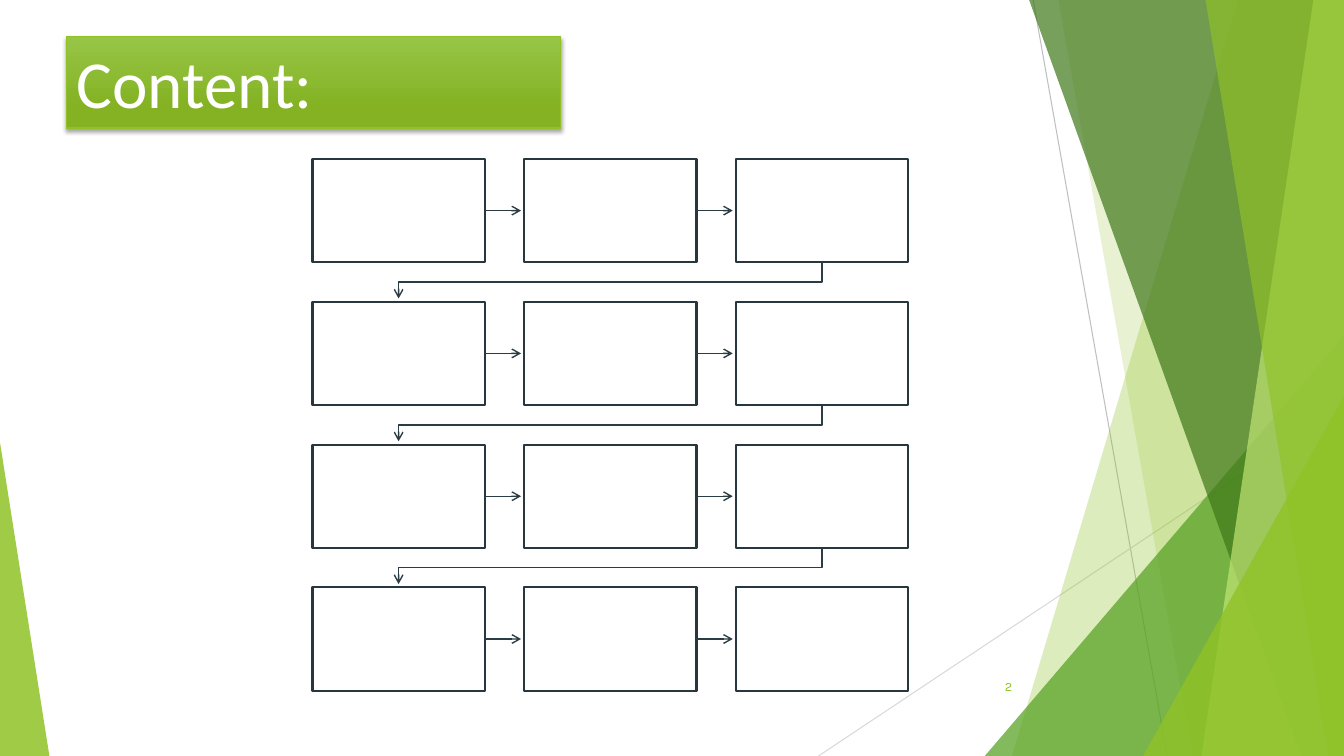
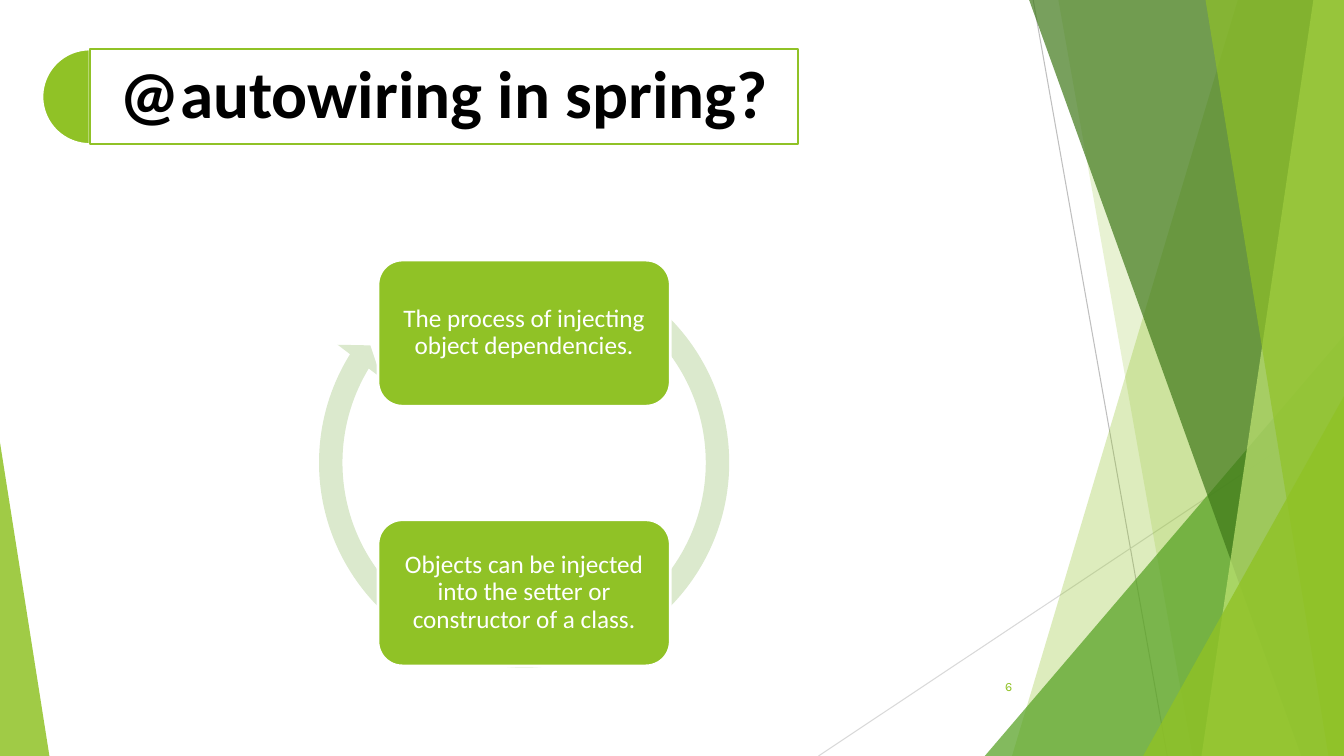
from dataclasses import dataclass
from lxml import etree
from pptx import Presentation
from pptx.dml.color import RGBColor
from pptx.enum.shapes import MSO_CONNECTOR, MSO_SHAPE
from pptx.enum.text import MSO_ANCHOR, MSO_AUTO_SIZE, PP_ALIGN
from pptx.oxml.ns import qn
from pptx.util import Pt

STRAIGHT = MSO_CONNECTOR.STRAIGHT
RECT, ROUNDED = MSO_SHAPE.RECTANGLE, MSO_SHAPE.ROUNDED_RECTANGLE
TRIANGLE, PIE = MSO_SHAPE.ISOSCELES_TRIANGLE, MSO_SHAPE.PIE
CIRCULAR_ARROW = MSO_SHAPE.CIRCULAR_ARROW
LEFT, CENTER, RIGHT = PP_ALIGN.LEFT, PP_ALIGN.CENTER, PP_ALIGN.RIGHT
TOP, MIDDLE = MSO_ANCHOR.TOP, MSO_ANCHOR.MIDDLE
FIT_SHAPE = MSO_AUTO_SIZE.SHAPE_TO_FIT_TEXT


@dataclass(frozen=True)
class Theme:
    white: str = "FFFFFF"
    black: str = "000000"
    lime: str = "90C226"
    pale_lime: str = "C0E474"
    green: str = "54A021"
    forest: str = "3F7819"
    mist: str = "DBE9CD"
    title_top: str = "97C547"
    title_bottom: str = "84B223"
    ray_dark: str = "BFBFBF"
    ray_light: str = "D9D9D9"
    box_edge: str = "28363D"
    arrow: str = "2C3C43"
    body_font: str = "Calibri"
    number_font: str = "Karla"
    title_size: float = 48
    body_size: float = 18
    number_size: float = 9


THEME = Theme()
WIDTH, HEIGHT = 960, 540

CONTENT = {"number": "2", "title": "Content:", "rows": 4, "columns": 3}
AUTOWIRING = {
    "number": "6",
    "title": "@autowiring in spring?",
    "cycle": [
        "The process of injecting object dependencies.",
        "Objects can be injected into the setter or constructor of a class.",
    ],
}

RAYS = [
    ((738, 0), (833.76, HEIGHT), THEME.ray_dark),
    ((WIDTH, 290.16), (584.64, HEIGHT), THEME.ray_light),
]
FACETS = [
    ("band", 884.16, 722.88, THEME.lime, 30),
    ("band", 756, 851.76, THEME.lime, 20),
    ("corner", 703.44, 239.76, THEME.green, 72),
    ("band", 735.12, 929.52, THEME.forest, 70),
    ("band", 938.16, 858.24, THEME.pale_lime, 70),
    ("band", 861.12, 948.96, THEME.lime, 65),
    ("corner", 816.48, 282.96, THEME.lime, 80),
]
LEFT_WEDGE = (0, 316.08, 35.28, 223.92)


def rgb(value):
    return RGBColor.from_string(value)


def paint(shape, fill=None, edge=None, weight=1, alpha=100):
    shape.shadow.inherit = False
    if fill:
        shape.fill.solid()
        shape.fill.fore_color.rgb = rgb(fill)
        if alpha < 100:
            color = next(shape.element.spPr.iter(qn("a:srgbClr")))
            etree.SubElement(color, qn("a:alpha"), val=str(alpha * 1000))
    else:
        shape.fill.background()
    if edge:
        shape.line.color.rgb = rgb(edge)
        shape.line.width = Pt(weight)
    else:
        shape.line.fill.background()
    return shape


def add_preset(slide, kind, frame, adjust=(), **look):
    shape = slide.shapes.add_shape(kind, *map(Pt, frame))
    for index, value in enumerate(adjust):
        shape.adjustments[index] = value
    return paint(shape, **look)


def add_outline(slide, points, close=True, **look):
    corners = [(Pt(x), Pt(y)) for x, y in points]
    builder = slide.shapes.build_freeform(*corners[0])
    builder.add_line_segments(corners[1:], close=close)
    return paint(builder.convert_to_shape(), **look)


def add_line(slide, start, end, color, weight):
    line = slide.shapes.add_connector(STRAIGHT, *map(Pt, (*start, *end)))
    line.line.color.rgb = rgb(color)
    line.line.width = Pt(weight)
    etree.SubElement(line.element.spPr, qn("a:effectLst"))
    return line


def add_arrowhead(line):
    outline = line.element.spPr.find(qn("a:ln"))
    etree.SubElement(outline, qn("a:tailEnd"), type="arrow")


def write(shape, text, size=THEME.body_size, font=THEME.body_font,
          color=THEME.white, bold=False, align=CENTER, anchor=MIDDLE,
          inset=(7.2, 3.6), spacing=None):
    frame = shape.text_frame
    frame.word_wrap = True
    frame.vertical_anchor = anchor
    frame.margin_left = frame.margin_right = Pt(inset[0])
    frame.margin_top = frame.margin_bottom = Pt(inset[1])
    paragraph = frame.paragraphs[0]
    paragraph.alignment = align
    if spacing:
        paragraph.line_spacing = spacing
    run = paragraph.add_run()
    run.text = text
    run.font.size = Pt(size)
    run.font.name = font
    run.font.bold = bold
    run.font.color.rgb = rgb(color)


def start_slide(deck, number):
    slide = deck.slides.add_slide(deck.slide_layouts[6])
    for start, end, color in RAYS:
        add_line(slide, start, end, color, 0.75)
    for kind, first, second, color, alpha in FACETS:
        if kind == "band":
            corners = [(first, 0), (WIDTH, 0), (WIDTH, HEIGHT), (second, HEIGHT)]
            add_outline(slide, corners, fill=color, alpha=alpha)
        else:
            frame = (first, second, WIDTH - first, HEIGHT - second)
            add_preset(slide, TRIANGLE, frame, [1], fill=color, alpha=alpha)
    add_preset(slide, TRIANGLE, LEFT_WEDGE, [0], fill=THEME.lime, alpha=85)
    page_number = slide.shapes.add_textbox(*map(Pt, (676.08, 475.92, 54, 28.8)))
    write(page_number, number, size=THEME.number_size, font=THEME.number_font,
          color=THEME.lime, align=RIGHT)
    return slide


def add_title_banner(slide, title):
    banner = add_preset(slide, RECT, (47.52, 25.92, 352.8, 65.5),
                        fill=THEME.lime, edge=THEME.lime)
    banner.fill.gradient()
    banner.fill.gradient_angle = 270
    stops = [(0, THEME.title_top), (0.78, THEME.title_bottom)]
    for stop, (position, color) in zip(banner.fill.gradient_stops, stops):
        stop.position = position
        stop.color.rgb = rgb(color)
    effects = banner.element.spPr.find(qn("a:effectLst"))
    shadow = etree.SubElement(
        effects, qn("a:outerShdw"), blurRad=str(Pt(3)), dist=str(Pt(2)),
        dir="5400000", rotWithShape="0")
    shade = etree.SubElement(shadow, qn("a:srgbClr"), val=THEME.black)
    etree.SubElement(shade, qn("a:alpha"), val="35000")
    write(banner, title, size=THEME.title_size, align=LEFT, anchor=TOP)
    banner.text_frame.auto_size = FIT_SHAPE


def add_snake(slide, rows, columns):
    left, top, width, height = 223.2, 113.6, 123.1, 73.7
    column_step, row_step = 151.2, 102
    reach, drop, bend = 25.9, 25.9, 14.2
    first_center = left + width / 2
    last_center = first_center + (columns - 1) * column_step
    for row in range(rows):
        y = top + row * row_step
        for column in range(columns):
            x = left + column * column_step
            add_preset(slide, RECT, (x, y, width, height),
                       fill=THEME.white, edge=THEME.box_edge, weight=1.5)
            if column < columns - 1:
                middle = y + height / 2
                step = add_line(slide, (x + width, middle),
                                (x + width + reach, middle), THEME.arrow, 1)
                add_arrowhead(step)
        if row < rows - 1:
            bottom = y + height
            route = [(last_center, bottom), (last_center, bottom + bend),
                     (first_center, bottom + bend), (first_center, bottom + drop)]
            add_arrowhead(add_outline(slide, route, close=False, edge=THEME.arrow))


def add_title_tab(slide, title):
    left, top, size = 30.24, 35.28, 67.68
    add_preset(slide, PIE, (left, top, size, size), [54, 162],
               fill=THEME.lime, edge=THEME.white, weight=1.5)
    panel = add_preset(slide, RECT, (left + size / 2, top, 506.16, size),
                       fill=THEME.white, edge=THEME.lime, weight=1.5)
    write(panel, title, size=THEME.title_size, color=THEME.black, bold=True,
          inset=(14.4, 14.4), spacing=0.9)


def add_cycle(slide, steps):
    add_preset(slide, CIRCULAR_ARROW, (216.72, 172.8, 315.36, 315.36),
               [0.053, 3.439, 126.958, 180.752, 0.062], fill=THEME.mist)
    for index, step in enumerate(steps):
        card = add_preset(slide, ROUNDED, (270, 185.76 + index * 185.5, 208.8, 104.4),
                          fill=THEME.lime, edge=THEME.white, weight=2)
        write(card, step, inset=(10, 10), spacing=0.9)


deck = Presentation()
deck.slide_width, deck.slide_height = Pt(WIDTH), Pt(HEIGHT)

content_slide = start_slide(deck, CONTENT["number"])
add_title_banner(content_slide, CONTENT["title"])
add_snake(content_slide, CONTENT["rows"], CONTENT["columns"])

autowiring_slide = start_slide(deck, AUTOWIRING["number"])
add_title_tab(autowiring_slide, AUTOWIRING["title"])
add_cycle(autowiring_slide, AUTOWIRING["cycle"])

deck.save("out.pptx")
